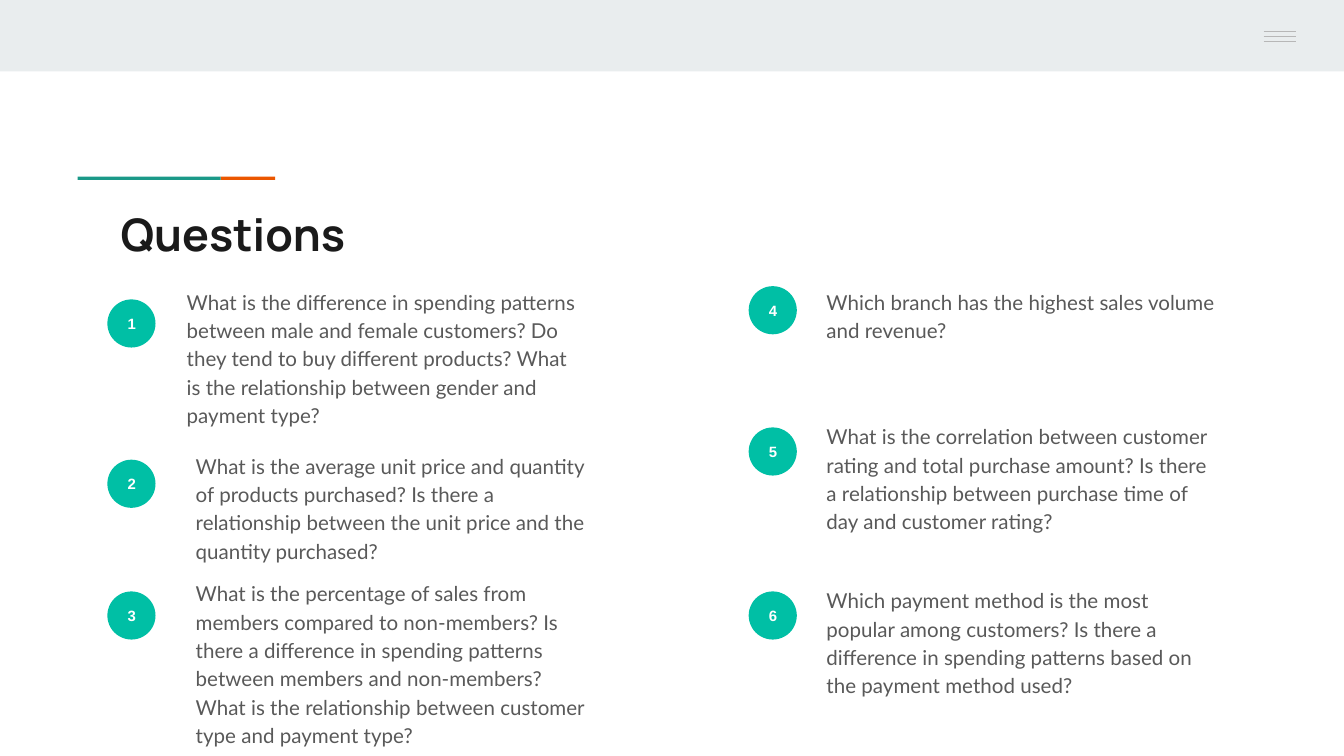
from pptx import Presentation
from pptx.dml.color import RGBColor
from pptx.enum import shapes, text
from pptx.oxml import ns, xmlchemy
from pptx.util import Cm, Pt

PALE = RGBColor(0xE9, 0xED, 0xEE)
GREY = RGBColor(0xB7, 0xB7, 0xB7)
TEAL = RGBColor(0x1A, 0x99, 0x88)
ORANGE = RGBColor(0xEB, 0x56, 0x00)
MINT = RGBColor(0x00, 0xBF, 0xA5)
BLACK = RGBColor(0x1A, 0x1A, 0x1A)
SLATE = RGBColor(0x59, 0x59, 0x59)
WHITE = RGBColor(0xFF, 0xFF, 0xFF)

WIDTH, HEIGHT = 25.4, 14.29
DOT = 0.91
LEFT, RIGHT = 2.03, 14.15

# Number, column left, text top, text indent, dot drop, question
ITEMS = [
    (1, LEFT, 5.16, 1.25, 0.5,
     "What is the difference in spending patterns between male and female "
     "customers? Do they tend to buy different products? What is the "
     "relationship between gender and payment type?"),
    (2, LEFT, 8.26, 1.42, 0.43,
     "What is the average unit price and quantity of products purchased? "
     "Is there a relationship between the unit price and the quantity "
     "purchased?"),
    (3, LEFT, 10.67, 1.42, 0.51,
     "What is the percentage of sales from members compared to non-members? "
     "Is there a difference in spending patterns between members and "
     "non-members? What is the relationship between customer type and "
     "payment type?"),
    (4, RIGHT, 5.16, 1.22, 0.25,
     "Which branch has the highest sales volume and revenue?"),
    (5, RIGHT, 7.7, 1.22, 0.38,
     "What is the correlation between customer rating and total purchase "
     "amount? Is there a relationship between purchase time of day and "
     "customer rating?"),
    (6, RIGHT, 10.8, 1.22, 0.38,
     "Which payment method is the most popular among customers? Is there a "
     "difference in spending patterns based on the payment method used?"),
]


def block(slide, kind, x, y, w, h, fill):
    """Add a plain filled shape."""
    shape = slide.shapes.add_shape(kind, Cm(x), Cm(y), Cm(w), Cm(h))
    shape.shadow.inherit = False
    shape.fill.solid()
    shape.fill.fore_color.rgb = fill
    shape.line.fill.background()
    return shape


def write(shape, words, face, size, color, bold=False):
    """Fill a shape with one paragraph and return it."""
    frame = shape.text_frame
    frame.word_wrap = True
    frame.margin_left = frame.margin_right = Cm(0.25)
    frame.margin_top = frame.margin_bottom = Cm(0.25)
    para = frame.paragraphs[0]
    para.text = words
    font = para.font
    font.name, font.size, font.bold = face, Pt(size), bold
    font.color.rgb = color
    return para


def label(slide, x, y, w, h, *style):
    """Add a text box."""
    box = slide.shapes.add_textbox(Cm(x), Cm(y), Cm(w), Cm(h))
    return write(box, *style)


def header(slide, x, y, w, h):
    rect = shapes.MSO_SHAPE.RECTANGLE
    block(slide, rect, x, y, w, h, PALE)
    # Menu icon on its panel
    panel = 2.39
    start = x + w - panel
    block(slide, rect, start, y, panel, 1.27, PALE)
    for row in range(3):
        level = Cm(y + 0.6 + 0.09 * row)
        line = slide.shapes.add_connector(
            shapes.MSO_CONNECTOR.STRAIGHT,
            Cm(start + 0.87), level, Cm(start + 1.48), level)
        line.line.color.rgb = GREY
        line.line.width = Pt(0.75)
        props = line._element.spPr
        props.append(xmlchemy.OxmlElement("a:effectLst"))


def accent(slide, x, y, w, h):
    rect = shapes.MSO_SHAPE.RECTANGLE
    tip = 1.03
    block(slide, rect, x + w - tip, y, tip, h, ORANGE)
    block(slide, rect, x, y, w - tip, h, TEAL)


def question(slide, x, y, w, h, number, indent, drop, words):
    # Numbered dot
    dot = block(slide, shapes.MSO_SHAPE.OVAL, x, y + drop, DOT, DOT, MINT)
    para = write(dot, str(number), "Arial", 8, WHITE, True)
    para.alignment = text.PP_ALIGN.CENTER
    dot.text_frame.vertical_anchor = text.MSO_ANCHOR.MIDDLE
    # Question text
    para = label(slide, x + indent, y, w, h, words, "Lato", 11, SLATE)
    para.line_spacing = 1.15
    para.space_after = Pt(16)


def main():
    deck = Presentation()
    deck.slide_width, deck.slide_height = Cm(WIDTH), Cm(HEIGHT)
    slide = deck.slides.add_slide(deck.slide_layouts[6])
    header(slide, 0, 0, WIDTH, 1.35)
    accent(slide, 1.47, 3.34, 3.73, 0.06)
    label(slide, LEFT, 3.66, 21.36, 1.5,
          "Questions", "Manrope", 24, BLACK, True)
    for number, x, y, indent, drop, words in ITEMS:
        question(slide, x, y, 7.87, 2.92, number, indent, drop, words)
    deck.save("out.pptx")


if __name__ == "__main__":
    main()
